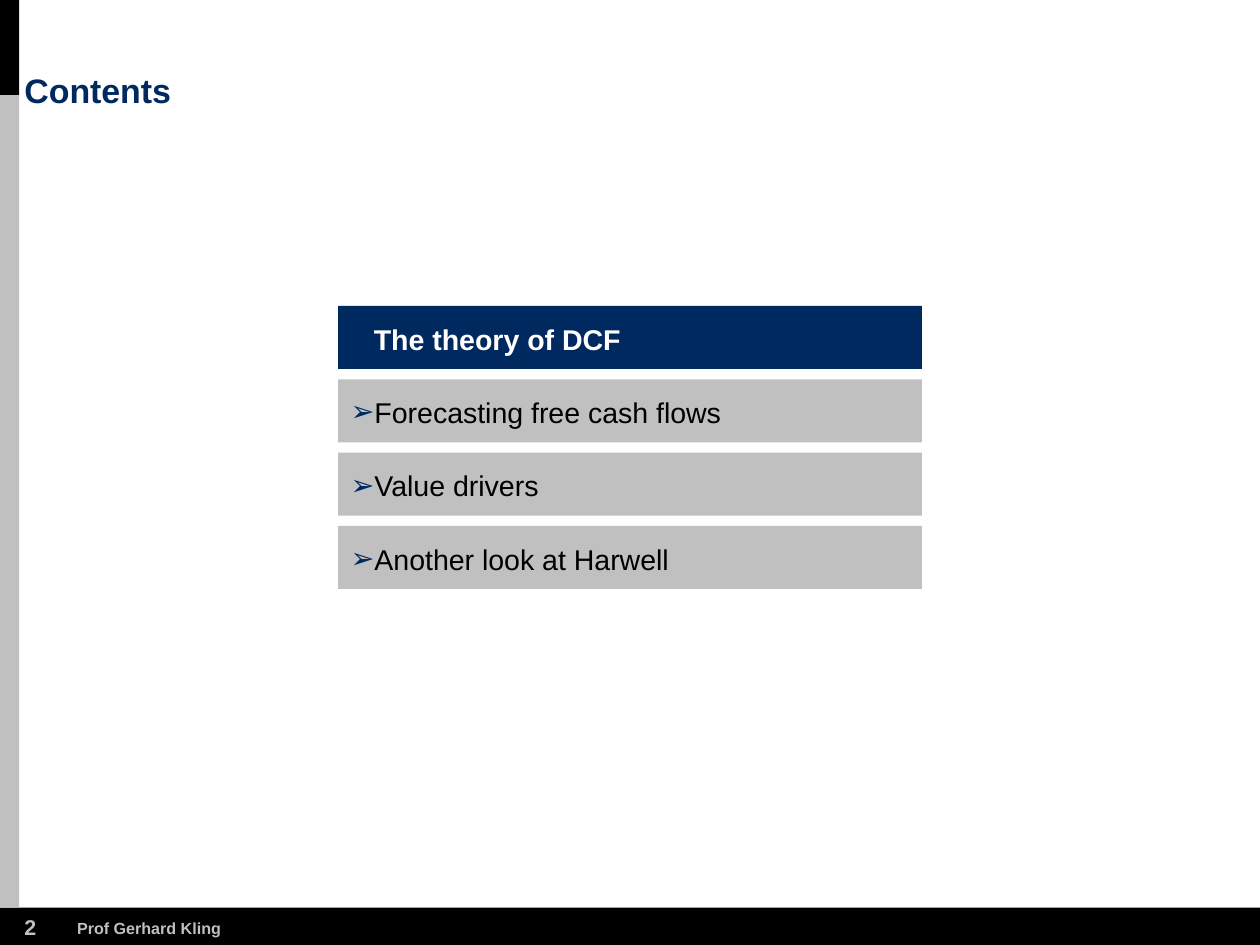
from lxml import etree
from pptx import Presentation
from pptx import util as u
from pptx.dml.color import RGBColor
from pptx.enum import shapes, text
from pptx.oxml.ns import qn

WIDE, HIGH = 9.8, 7.35
NAVY, GREY, BLACK, WHITE = "002960", "C0C0C0", "000000", "FFFFFF"
TOPICS = ["The theory of DCF", "Forecasting free cash flows",
          "Value drivers", "Another look at Harwell"]


def paint(target, color):
    """Give a fill or a font a solid colour from a hex string."""
    if hasattr(target, "solid"):
        target.solid()
        target.fore_color.rgb = RGBColor.from_string(color)
    else:
        target.color.rgb = RGBColor.from_string(color)


def block(slide, x, y, w, h, color):
    shape = slide.shapes.add_shape(
        shapes.MSO_SHAPE.RECTANGLE, *map(u.Inches, (x, y, w, h)))
    shape.shadow.inherit = False
    paint(shape.fill, color)
    shape.line.fill.background()
    return shape


def write(shape, words, size, color, bold=True, wrap=False):
    """Set one left-aligned line of text without margins."""
    frame = shape.text_frame
    frame.text = words
    frame.word_wrap = wrap
    frame.margin_left = frame.margin_right = 0
    frame.margin_top = frame.margin_bottom = 0
    para = frame.paragraphs[0]
    para.alignment = text.PP_ALIGN.LEFT
    font = para.runs[0].font
    font.name, font.size, font.bold = "Arial", u.Pt(size), bold
    paint(font, color)
    return frame


def label(slide, x, y, w, h, words, size, color):
    box = slide.shapes.add_textbox(*map(u.Inches, (x, y, w, h)))
    return write(box, words, size, color)


def indent(para, depth, mark=None):
    """Indent a paragraph and hang an optional navy bullet in the space."""
    props = para._p.get_or_add_pPr()
    props.set("marL", str(u.Inches(depth)))
    props.set("indent", str(-u.Inches(depth) if mark else 0))
    if mark:
        tint = etree.SubElement(props, qn("a:buClr"))
        etree.SubElement(tint, qn("a:srgbClr"), val=NAVY)
        etree.SubElement(props, qn("a:buFont"), typeface="Arial")
        etree.SubElement(props, qn("a:buChar"), char=mark)


def border(slide, side=0.15, split=0.74, foot=0.29):
    base = HIGH - foot
    block(slide, 0, base, WIDE, foot, BLACK)
    block(slide, 0, 0, side, split, BLACK)
    block(slide, 0, split, side, base - split, GREY)
    label(slide, 0.19, base + 0.05, 0.2, 0.2, "2", 12, GREY)
    label(slide, 0.6, base + 0.08, 1.13, 0.15, "Prof Gerhard Kling", 9, GREY)


def title(slide, x, y, w, h, words):
    frame = label(slide, x, y, w, h, words, 19, NAVY)
    frame.vertical_anchor = text.MSO_ANCHOR.BOTTOM
    frame.paragraphs[0].line_spacing = 0.9


def agenda(slide, x, y, w, topics, now=0, high=0.49, step=0.57):
    """Stack one bar per topic and highlight the current one."""
    for row, topic in enumerate(topics):
        live = row == now
        bar = block(slide, x, y + row * step, w, high, NAVY if live else GREY)
        frame = write(bar, topic, 16, WHITE if live else BLACK, live, True)
        frame.vertical_anchor = text.MSO_ANCHOR.MIDDLE
        frame.margin_left = u.Inches(0.1)
        frame.margin_top = u.Inches(0.02)
        indent(frame.paragraphs[0], 0.18, None if live else "➢")


def main():
    deck = Presentation()
    deck.slide_width, deck.slide_height = u.Inches(WIDE), u.Inches(HIGH)
    slide = deck.slides.add_slide(deck.slide_layouts[6])
    border(slide)
    title(slide, 0.19, 0.58, 7.76, 0.28, "Contents")
    agenda(slide, 2.63, 2.38, 4.54, TOPICS)
    deck.save("out.pptx")


if __name__ == "__main__":
    main()
